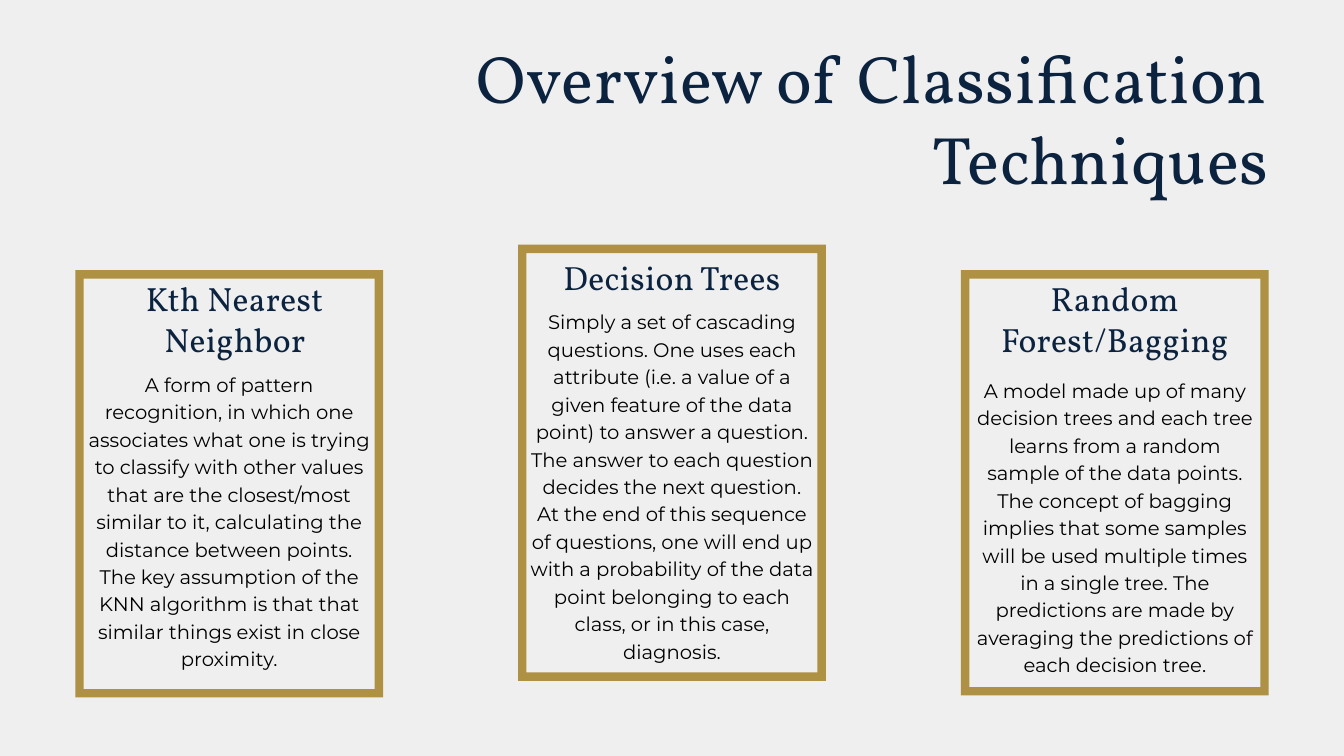
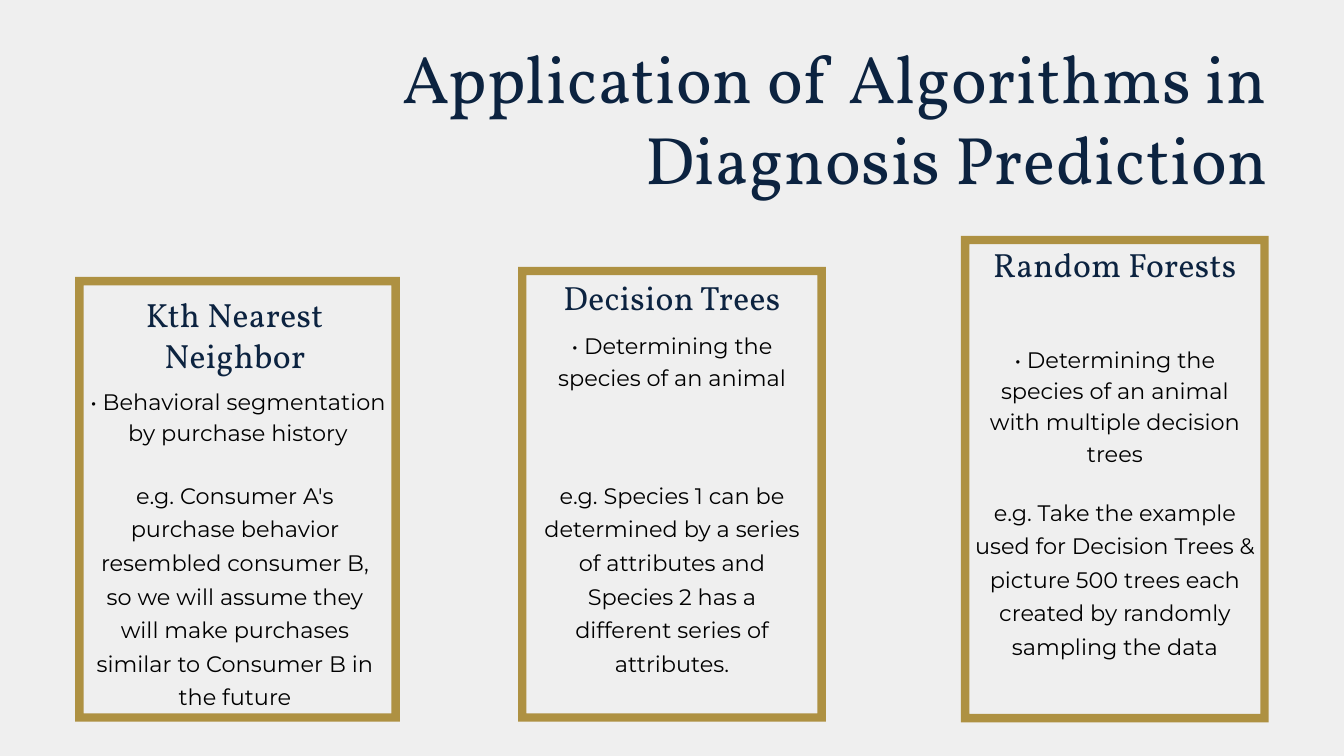
from dataclasses import dataclass
from typing import Optional

from pptx import Presentation
from pptx.dml.color import RGBColor
from pptx.enum.text import MSO_AUTO_SIZE, PP_ALIGN
from pptx.util import Inches, Pt

CENTER = PP_ALIGN.CENTER
RIGHT = PP_ALIGN.RIGHT
GROW = MSO_AUTO_SIZE.SHAPE_TO_FIT_TEXT

PAPER = RGBColor(0xEF, 0xEF, 0xEF)
NAVY = RGBColor(0x0C, 0x23, 0x40)
GOLD = RGBColor(0xAE, 0x91, 0x42)
BLACK = RGBColor(0x00, 0x00, 0x00)

PAGE_WIDTH, PAGE_HEIGHT = 20, 11.25
MARGIN = 1.12
FRAME_WIDTH = 4.58
FRAME_BORDER = 1 / 8
COLUMN_PITCH = (PAGE_WIDTH - 2 * MARGIN - FRAME_WIDTH) / 2
FIRST_TEXT_LEFT = 1.29
HEADING_WIDTH = 3.75
BODY_WIDTH = 4.24


@dataclass(frozen=True)
class TextStyle:
    font: str
    size: float
    line_spacing: float
    color: RGBColor
    align: PP_ALIGN = CENTER
    tracking: int = 0  # hundredths of a point


TITLE = TextStyle("Vollkorn", 72, 86.4, NAVY, RIGHT, 70)
HEADING = TextStyle("Vollkorn", 36, 43.2, NAVY, tracking=40)
BODY = TextStyle("Montserrat", 21, 29.4, BLACK)
USE = TextStyle("Montserrat", 24, 33.6, BLACK)
EXAMPLE = TextStyle("Montserrat", 24, 36, BLACK)


@dataclass(frozen=True)
class Block:
    """A text in a column; it is centred in the frame unless left is given."""
    text: str
    style: TextStyle
    top: float
    width: float
    height: float
    left: Optional[float] = None


@dataclass(frozen=True)
class Column:
    top: float
    height: float
    blocks: tuple[Block, ...]
    width: float = FRAME_WIDTH


@dataclass(frozen=True)
class Page:
    title: str
    columns: tuple[Column, ...]


PAGES = (
    Page("Overview of Classification Techniques", (
        Column(4.02, 6.36, (
            Block("Kth Nearest Neighbor", HEADING, 4.14, 4.41, 1.2, FIRST_TEXT_LEFT),
            Block("A form of pattern recognition, in which one associates what one is "
                  "trying to classify with other values that are the closest/most similar "
                  "to it, calculating the distance between points. The key assumption of "
                  "the KNN algorithm is that that similar things exist in close proximity.",
                  BODY, 5.49, BODY_WIDTH, 4.44, FIRST_TEXT_LEFT),
        )),
        Column(3.64, 6.49, (
            Block("Decision Trees", HEADING, 3.83, HEADING_WIDTH, 0.6),
            Block("Simply a set of cascading questions. One uses each attribute (i.e. a "
                  "value of a given feature of the data point) to answer a question. The "
                  "answer to each question decides the next question. At the end of this "
                  "sequence of questions, one will end up with a probability of the data "
                  "point belonging to each class, or in this case, diagnosis.",
                  BODY, 4.56, BODY_WIDTH, 5.22),
        )),
        Column(4.02, 6.33, (
            Block("Random Forest/Bagging", HEADING, 4.14, HEADING_WIDTH, 1.2),
            Block("A model made up of many decision trees and each tree learns from a "
                  "random sample of the data points. The concept of bagging implies that "
                  "some samples will be used multiple times in a single tree. The "
                  "predictions are made by averaging the predictions of each decision tree.",
                  BODY, 5.58, BODY_WIDTH, 4.41),
        )),
    )),
    Page("Application of Algorithms in Diagnosis Prediction", (
        Column(4.12, 6.62, (
            Block("Kth Nearest Neighbor", HEADING, 4.38, 4.41, 1.2, FIRST_TEXT_LEFT),
            Block("• Behavioral segmentation by purchase history",
                  USE, 5.71, 4.5, 0.91, FIRST_TEXT_LEFT),
            Block("e.g. Consumer A's purchase behavior resembled consumer B, so we will "
                  "assume they will make purchases similar to Consumer B in the future",
                  EXAMPLE, 7.07, 4.41, 3.5, FIRST_TEXT_LEFT),
        ), width=4.83),
        Column(3.97, 6.77, (
            Block("Decision Trees", HEADING, 4.12, HEADING_WIDTH, 0.6),
            Block("• Determining the species of an animal", USE, 4.88, 4.26, 0.91),
            Block("e.g. Species 1 can be determined by a series of attributes and "
                  "Species 2 has a different series of attributes.",
                  EXAMPLE, 7.07, 4, 3),
        )),
        Column(3.51, 7.24, (
            Block("Random Forests", HEADING, 3.63, HEADING_WIDTH, 0.6),
            Block("• Determining the species of an animal with multiple decision trees",
                  USE, 5.08, 4.2, 1.87),
            Block("e.g. Take the example used for Decision Trees & picture 500 trees each "
                  "created by randomly sampling the data",
                  EXAMPLE, 7.32, 4.2, 2.5),
        )),
    )),
)


def set_all(target, values: dict) -> None:
    for name, value in values.items():
        setattr(target, name, value)


def add_text(page, text: str, style: TextStyle, left: float, top: float,
             width: float, height: float) -> None:
    box = page.shapes.add_textbox(*map(Inches, (left, top, width, height)))
    set_all(box.text_frame, {
        "margin_left": 0, "margin_top": 0, "margin_right": 0, "margin_bottom": 0,
        "word_wrap": True, "auto_size": GROW,
    })
    para = box.text_frame.paragraphs[0]
    set_all(para, {"alignment": style.align, "line_spacing": Pt(style.line_spacing)})
    span = para.add_run()
    span.text = text
    set_all(span.font, {"name": style.font, "size": Pt(style.size)})
    span.font.color.rgb = style.color
    if style.tracking:
        span.font._element.set("spc", str(style.tracking))


def add_frame(page, left: float, top: float, width: float, height: float) -> None:
    """Draw a gold border whose inner outline runs the other way, leaving a hole."""
    x1, y1, x2, y2 = map(Inches, (left, top, left + width, top + height))
    border = Inches(FRAME_BORDER)
    builder = page.shapes.build_freeform(x1, y1)
    builder.add_line_segments([(x1, y2), (x2, y2), (x2, y1)], close=True)
    x1, y1, x2, y2 = x1 + border, y1 + border, x2 - border, y2 - border
    builder.move_to(x2, y2)
    builder.add_line_segments([(x1, y2), (x1, y1), (x2, y1)], close=True)
    frame = builder.convert_to_shape()
    frame.shadow.inherit = False
    frame.fill.solid()
    frame.fill.fore_color.rgb = GOLD
    frame.line.fill.background()


def add_column(page, column: Column, left: float) -> None:
    add_frame(page, left, column.top, column.width, column.height)
    for block in column.blocks:
        text_left = block.left
        if text_left is None:
            text_left = left + (column.width - block.width) / 2
        add_text(page, block.text, block.style, text_left, block.top,
                 block.width, block.height)


def add_page(deck, content: Page) -> None:
    page = deck.slides.add_slide(deck.slide_layouts[6])
    page.background.fill.solid()
    page.background.fill.fore_color.rgb = PAPER
    add_text(page, content.title, TITLE, 5.96, 0.54, 12.92, 2.37)
    for index, column in enumerate(content.columns):
        add_column(page, column, MARGIN + index * COLUMN_PITCH)


def main() -> None:
    deck = Presentation()
    set_all(deck, {"slide_width": Inches(PAGE_WIDTH), "slide_height": Inches(PAGE_HEIGHT)})
    for content in PAGES:
        add_page(deck, content)
    deck.save("out.pptx")


if __name__ == "__main__":
    main()
